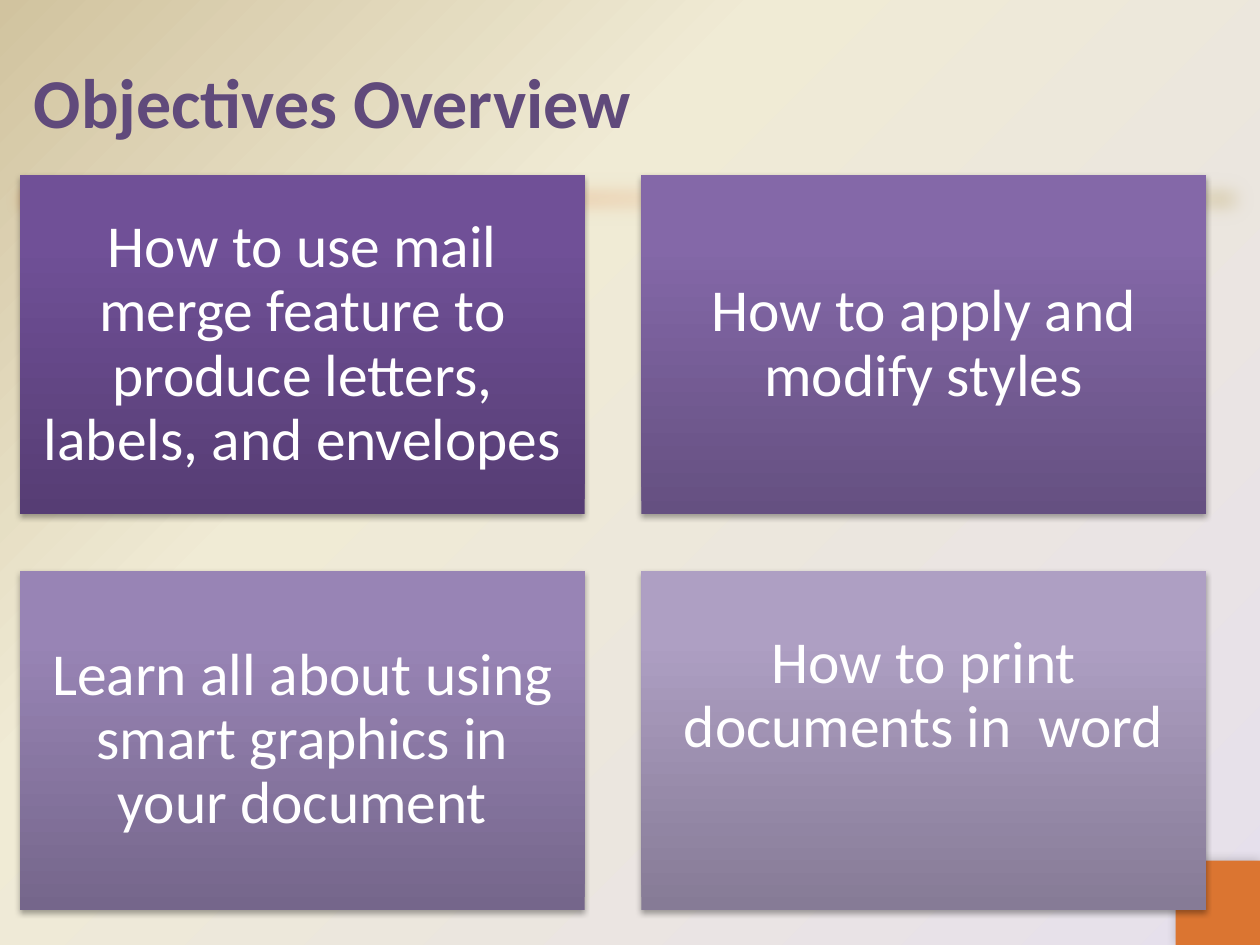
from dataclasses import dataclass

from lxml.etree import SubElement
from pptx import Presentation
from pptx.dml.color import RGBColor
from pptx.enum.shapes import MSO_SHAPE as Shape
from pptx.enum.text import MSO_ANCHOR as Anchor, PP_ALIGN as Align
from pptx.oxml import parse_xml
from pptx.oxml.ns import nsdecls, qn
from pptx.util import Inches, Pt


@dataclass(frozen=True)
class Theme:
    font: str = "Calibri"
    title_size: int = 40
    card_size: int = 34
    title: str = "604A7B"
    white: str = "FFFFFF"
    accent: str = "DB7531"
    cream: str = "F0EBD5"
    sand: str = "D1C39F"
    lilac: str = "E6E0EC"
    # Bottom, upper and top colour of each card
    cards: tuple = (
        ("563D74", "705097", "704F99"),
        ("655081", "8468A8", "8467AA"),
        ("75668B", "9884B5", "9984B7"),
        ("867B96", "AE9FC3", "AE9FC4"),
    )


def gradient(colors, middle, direction):
    stops = "".join(
        f'<a:gs pos="{place * 1000}"><a:srgbClr val="{color}"/></a:gs>'
        for place, color in zip((0, middle, 100), colors)
    )
    return parse_xml(
        f'<a:gradFill {nsdecls("a")} rotWithShape="1">'
        f"<a:gsLst>{stops}</a:gsLst>{direction}</a:gradFill>"
    )


def linear(angle):
    return f'<a:lin ang="{angle * 60000}" scaled="0"/>'


class Painter:
    def __init__(self, page, theme):
        self.page = page
        self.theme = theme

    def background(self, colors):
        self.page.background.fill.solid()
        solid = self.page.element.find(".//" + qn("p:bgPr")).find(qn("a:solidFill"))
        corner = '<a:path path="circle"><a:fillToRect l="100000" t="100000"/></a:path>'
        solid.getparent().replace(solid, gradient(colors, 65, corner))

    def rectangle(self, left, top, width, height, color):
        box = self.page.shapes.add_shape(
            Shape.RECTANGLE, Inches(left), Inches(top), Inches(width), Inches(height)
        )
        box.shadow.inherit = False
        box.line.fill.background()
        box.fill.solid()
        box.fill.fore_color.rgb = RGBColor.from_string(color)
        return box

    def shade(self, box, colors, middle, angle):
        properties = box.element.spPr
        solid = properties.find(qn("a:solidFill"))
        properties.replace(solid, gradient(colors, middle, linear(angle)))

    def effect(self, box, kind, **settings):
        effects = box.element.spPr.find(qn("a:effectLst"))
        values = {name: str(value) for name, value in settings.items()}
        return SubElement(effects, qn(f"a:{kind}"), values)

    def shadow(self, box, alpha, blur, distance, angle):
        shadow = self.effect(box, "outerShdw", blurRad=Pt(blur), dist=Pt(distance),
                             dir=angle * 60000, rotWithShape=0)
        color = SubElement(shadow, qn("a:srgbClr"), val="000000")
        SubElement(color, qn("a:alpha"), val=str(alpha * 1000))

    def add_text(self, box, text, size, color, align, bold=False):
        frame = box.text_frame
        frame.word_wrap = True
        frame.vertical_anchor = Anchor.MIDDLE
        para = frame.paragraphs[0]
        para.alignment = align
        span = para.add_run()
        span.text = text
        span.font.name = self.theme.font
        span.font.size = Pt(size)
        span.font.bold = bold
        span.font.color.rgb = RGBColor.from_string(color)
        return para

    def title(self, text, left, top, width, height):
        box = self.page.shapes.add_textbox(
            Inches(left), Inches(top), Inches(width), Inches(height)
        )
        self.add_text(box, text, self.theme.title_size, self.theme.title, Align.LEFT, True)

    def card(self, text, left, top, width, height, colors, lift):
        box = self.rectangle(left, top, width, height, colors[0])
        self.shade(box, colors, 80, 270)
        self.shadow(box, 35, 3.1, 1.8, 90)
        para = self.add_text(box, text, self.theme.card_size, self.theme.white, Align.CENTER)
        para.line_spacing = 0.9
        frame = box.text_frame
        frame.margin_left = frame.margin_right = frame.margin_top = Inches(0.14)
        frame.margin_bottom = Inches(0.14 + lift)


def main():
    deck = Presentation()
    deck.slide_width, deck.slide_height = Inches(10), Inches(7.5)
    theme = Theme()
    painter = Painter(deck.slides.add_slide(deck.slide_layouts[6]), theme)

    # Backdrop: soft band and corner square
    painter.background((theme.lilac, theme.cream, theme.sand))
    band = painter.rectangle(0, 1.33, 10, 0.5, theme.accent)
    painter.shade(band, (theme.accent, theme.cream, theme.sand), 65, 45)
    painter.effect(band, "softEdge", rad=Pt(12.5))
    corner = painter.rectangle(9.33, 6.83, 0.67, 0.67, theme.accent)
    painter.shadow(corner, 20, 6, 0, 225)

    painter.title("Objectives Overview", 0.17, 0.17, 9.67, 1.25)

    # Two-by-two grid of objectives; lift raises the text within its card
    objectives = (
        ("How to use mail merge feature to produce letters, labels, and envelopes", 0),
        ("How to apply and modify styles", 0),
        ("Learn all about using smart graphics in your document", 0),
        ("How to print documents in  word", 0.7),
    )
    width, height, gap = 4.48, 2.69, 0.45
    for index, ((text, lift), colors) in enumerate(zip(objectives, theme.cards)):
        row, column = divmod(index, 2)
        left = 0.16 + column * (width + gap)
        top = 1.39 + row * (height + gap)
        painter.card(text, left, top, width, height, colors, lift)

    deck.save("out.pptx")


if __name__ == "__main__":
    main()
